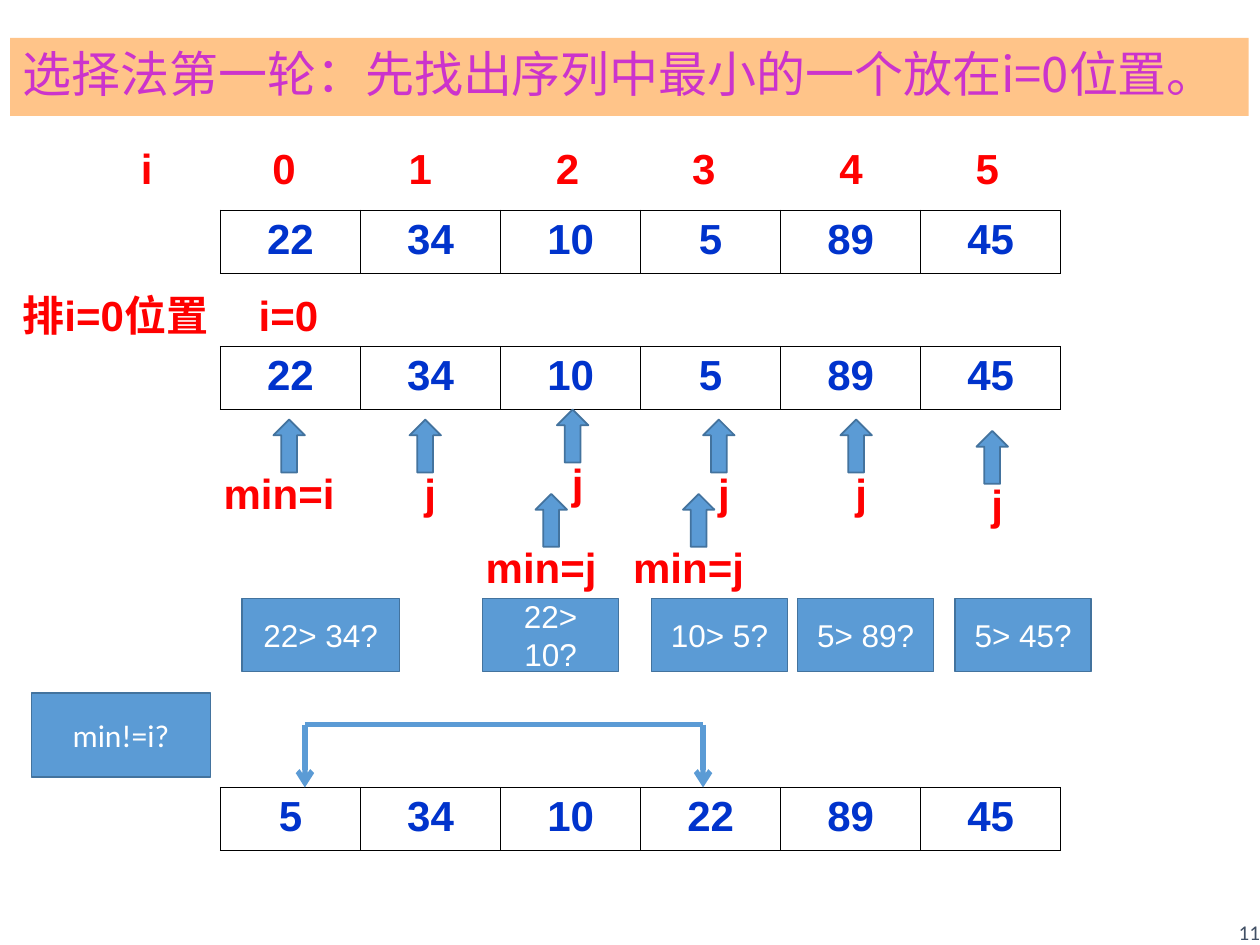
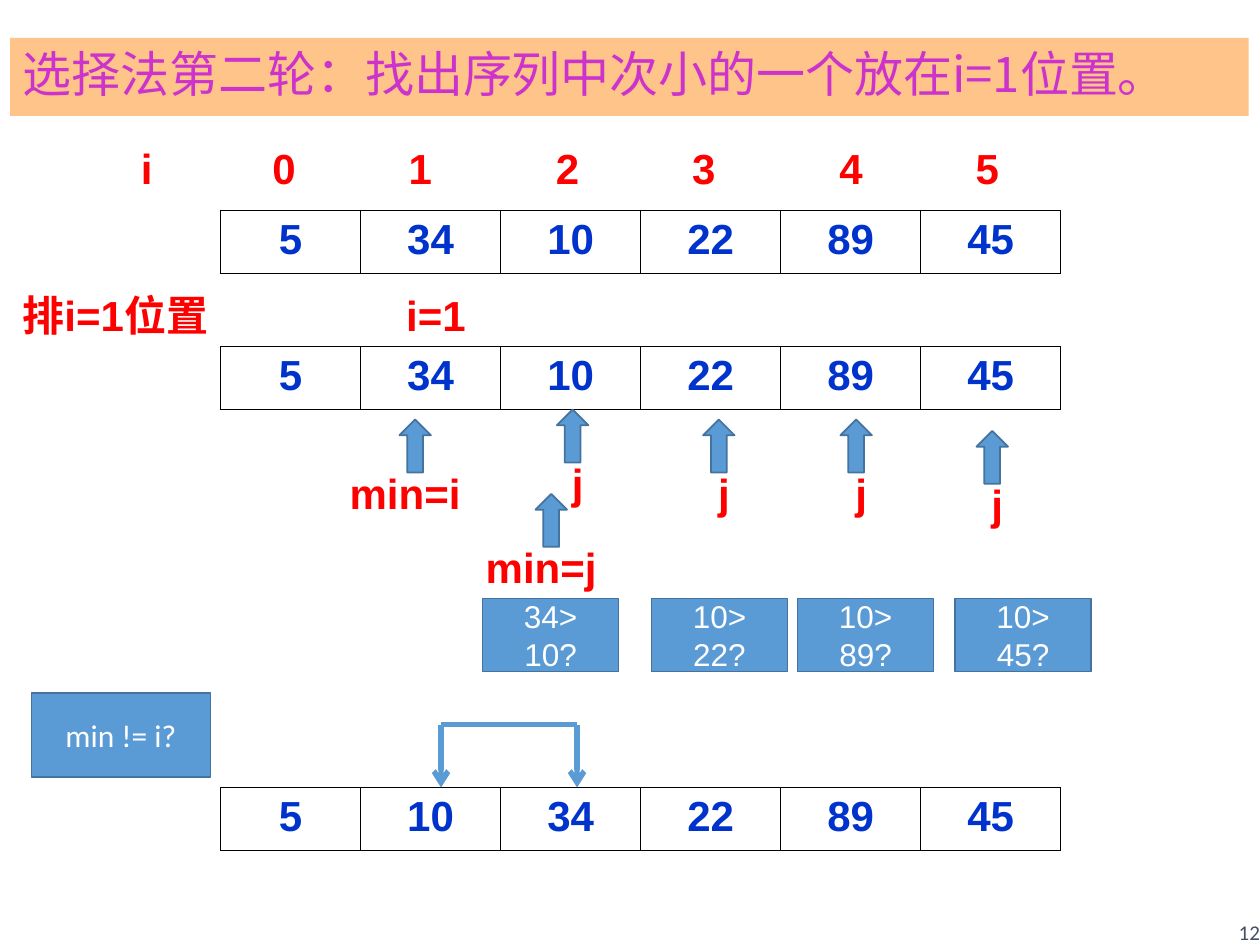
from dataclasses import dataclass

from lxml.etree import SubElement
from pptx import Presentation
from pptx.dml.color import RGBColor
from pptx.enum.shapes import MSO_CONNECTOR, MSO_SHAPE
from pptx.enum.text import MSO_ANCHOR, PP_ALIGN
from pptx.oxml import parse_xml
from pptx.oxml.ns import nsdecls, qn
from pptx.util import Inches, Pt

BAND = RGBColor(0xFF, 0xC4, 0x89)
PURPLE = RGBColor(0xCC, 0x33, 0xCC)
RED = RGBColor(0xFF, 0x00, 0x00)
NAVY = RGBColor(0x00, 0x33, 0xCC)
BLUE = RGBColor(0x5B, 0x9B, 0xD5)
EDGE = RGBColor(0x43, 0x73, 0x9E)
GREY = RGBColor(0x41, 0x50, 0x65)
WHITE = RGBColor(0xFF, 0xFF, 0xFF)
CJK = "Noto Sans CJK SC"

TABLE_X, TABLE_W = 1.75, 6.67
LABEL_H = 0.51
INDEX_X = {"i": 0.83, "0": 1.92, "1": 3, "2": 4.17, "3": 5.25, "4": 6.42, "5": 7.5}
BRACKET_Y, RESULT_Y = 5.75, 6.25


@dataclass(frozen=True)
class Column:
    """Where the j arrow, comparison box and min=j arrow of one array element sit."""
    j_x: float
    j_y: float
    box_x: float
    box_w: float = 1.08
    min_x: float = 0


COLUMNS = {
    1: Column(3.25, 3.33, 1.92, 1.25),
    2: Column(4.42, 3.25, 3.83, min_x=4.25),
    3: Column(5.58, 3.33, 5.17, min_x=5.42),
    4: Column(6.67, 3.33, 6.33),
    5: Column(7.75, 3.42, 7.58),
}


@dataclass(frozen=True)
class Round:
    page: int
    title: str
    i: int
    i_x: float
    min_i_x: float
    before: list[int]
    after: list[int]
    comparisons: dict[int, str]
    new_min: list[int]
    swap: tuple[float, float]
    check: str


ROUNDS = [
    Round(11, "选择法第一轮：先找出序列中最小的一个放在i=0位置。", 0, 1.75, 2.17,
          [22, 34, 10, 5, 89, 45], [5, 34, 10, 22, 89, 45],
          {1: "22> 34?", 2: "22> 10?", 3: "10> 5?", 4: "5> 89?", 5: "5> 45?"},
          [2, 3], (2.42, 5.58), "min!=i?"),
    Round(12, "选择法第二轮：找出序列中次小的一个放在i=1位置。", 1, 2.92, 3.17,
          [5, 34, 10, 22, 89, 45], [5, 10, 34, 22, 89, 45],
          {2: "34> 10?", 3: "10> 22?", 4: "10> 89?", 5: "10> 45?"},
          [2], (3.5, 4.58), "min != i?"),
]


def write(tf, text: str, size: int, color: RGBColor, font: str = "Arial",
          bold: bool = False, align=PP_ALIGN.CENTER) -> None:
    tf.text = text
    p = tf.paragraphs[0]
    p.alignment = align
    p.font.size, p.font.bold, p.font.name = Pt(size), bold, font
    p.font.color.rgb = color
    SubElement(p._p.pPr.find(qn("a:defRPr")), qn("a:ea"), typeface=CJK)


def add_label(shapes, text: str, x: float, y: float, w: float) -> None:
    box = shapes.add_textbox(Inches(x), Inches(y), Inches(w), Inches(LABEL_H))
    box.text_frame.word_wrap = False
    write(box.text_frame, text, 24, RED, bold=True)


def add_blue_shape(shapes, kind, x: float, y: float, w: float, h: float):
    sp = shapes.add_shape(kind, Inches(x), Inches(y), Inches(w), Inches(h))
    sp.shadow.inherit = False
    sp.fill.solid()
    sp.fill.fore_color.rgb = BLUE
    sp.line.color.rgb = EDGE
    sp.line.width = Pt(1)
    return sp


def add_question(shapes, text: str, x: float, y: float, w: float, h: float,
                 font: str = "Arial") -> None:
    sp = add_blue_shape(shapes, MSO_SHAPE.RECTANGLE, x, y, w, h)
    tf = sp.text_frame
    tf.word_wrap = True
    tf.vertical_anchor = MSO_ANCHOR.MIDDLE
    write(tf, text, 18, WHITE, font)


def add_pointer(s, text: str, x: float, y: float) -> None:
    """Up arrow grouped with the variable name below it."""
    group = s.shapes.add_group_shape().shapes
    offset, width = (0.25, 0.83) if text == "j" else (0.58, 1.25)
    add_label(group, text, x - offset, y + 0.33, width)
    add_blue_shape(group, MSO_SHAPE.UP_ARROW, x, y, 0.25, 0.42)


def add_array(s, values: list[int], y: float, row_h: float = 0.5) -> None:
    table = s.shapes.add_table(1, len(values), Inches(TABLE_X), Inches(y),
                               Inches(TABLE_W), Inches(row_h)).table
    table.first_row = table.horz_banding = False
    for col, cell, value in zip(table.columns, table.iter_cells(), values):
        col.width = Inches(TABLE_W / len(values))
        write(cell.text_frame, str(value), 24, NAVY, bold=True)
        cell.fill.background()
        for i, side in enumerate("LRTB"):
            cell._tc.tcPr.insert(i, parse_xml(
                f'<a:ln{side} {nsdecls("a")} w="12700"><a:solidFill>'
                f'<a:srgbClr val="000000"/></a:solidFill></a:ln{side}>'))


def add_line(shapes, x1: float, y1: float, x2: float, y2: float,
             arrow: bool = False) -> None:
    line = shapes.add_connector(MSO_CONNECTOR.STRAIGHT, Inches(x1), Inches(y1),
                                Inches(x2), Inches(y2))
    line.line.color.rgb = BLUE
    line.line.width = Pt(3)
    if arrow:
        SubElement(line.line._get_or_add_ln(), qn("a:tailEnd"), type="arrow")
    SubElement(line._element.spPr, qn("a:effectLst"))


def add_swap_bracket(s, left: float, right: float) -> None:
    group = s.shapes.add_group_shape().shapes
    add_line(group, left, BRACKET_Y, right, BRACKET_Y)
    for x in (left, right):
        add_line(group, x, BRACKET_Y, x, RESULT_Y, arrow=True)


def add_title(s, text: str) -> None:
    sp = s.shapes.title
    sp.left, sp.top, sp.width, sp.height = map(Inches, (0.08, 0.3, 9.83, 0.62))
    sp.fill.solid()
    sp.fill.fore_color.rgb = BAND
    sp.text_frame.vertical_anchor = MSO_ANCHOR.MIDDLE
    write(sp.text_frame, text, 28, PURPLE, CJK, align=PP_ALIGN.LEFT)
    sp.text_frame.paragraphs[0].line_spacing = 0.9


def add_page_number(s, page: int) -> None:
    box = s.shapes.add_textbox(Inches(9.57), Inches(6.98), Inches(0.43), Inches(0.52))
    tf = box.text_frame
    tf.word_wrap = True
    tf.margin_left = tf.margin_right = tf.margin_top = tf.margin_bottom = 0
    tf.vertical_anchor = MSO_ANCHOR.BOTTOM
    write(tf, str(page), 12, GREY, "Calibri", align=PP_ALIGN.RIGHT)


def add_round(prs, rnd: Round) -> None:
    s = prs.slides.add_slide(prs.slide_layouts[5])
    add_page_number(s, rnd.page)
    add_title(s, rnd.title)

    add_array(s, rnd.before, 1.67, row_h=0.41)
    for index, x in INDEX_X.items():
        add_label(s.shapes, index, x, 1.08, 0.67)

    add_array(s, rnd.before, 2.75)
    add_label(s.shapes, f"排i={rnd.i}位置", 0, 2.25, 1.83)
    add_label(s.shapes, f"i={rnd.i}", rnd.i_x, 2.25, 1.08)

    add_pointer(s, "min=i", rnd.min_i_x, 3.33)
    for j, question in rnd.comparisons.items():
        col = COLUMNS[j]
        add_pointer(s, "j", col.j_x, col.j_y)
        add_question(s.shapes, question, col.box_x, 4.75, col.box_w, 0.58)
        if j in rnd.new_min:
            add_pointer(s, "min=j", col.min_x, 3.92)

    add_array(s, rnd.after, RESULT_Y)
    add_swap_bracket(s, *rnd.swap)
    add_question(s.shapes, rnd.check, 0.25, 5.5, 1.42, 0.67, "Calibri")


def main() -> None:
    prs = Presentation()
    prs.slide_width, prs.slide_height = Inches(10), Inches(7.5)
    for rnd in ROUNDS:
        add_round(prs, rnd)
    prs.save("out.pptx")


if __name__ == "__main__":
    main()
